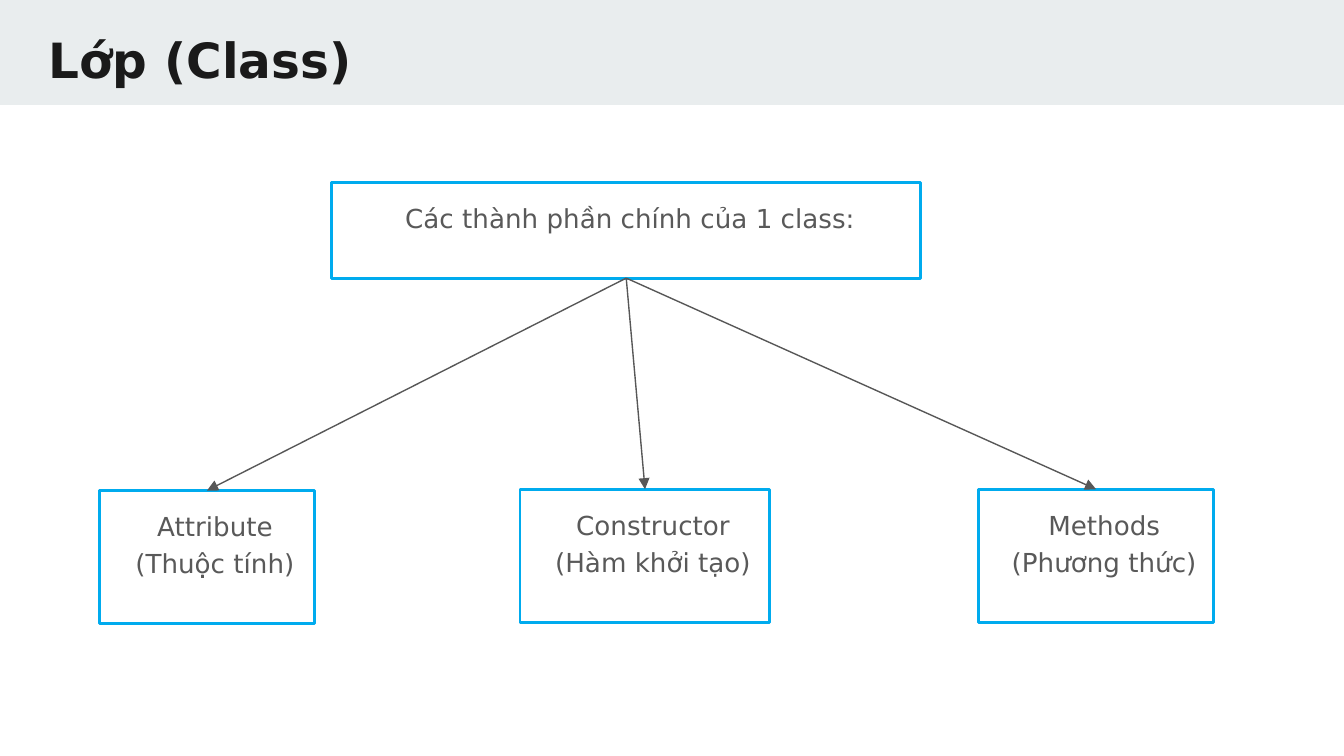
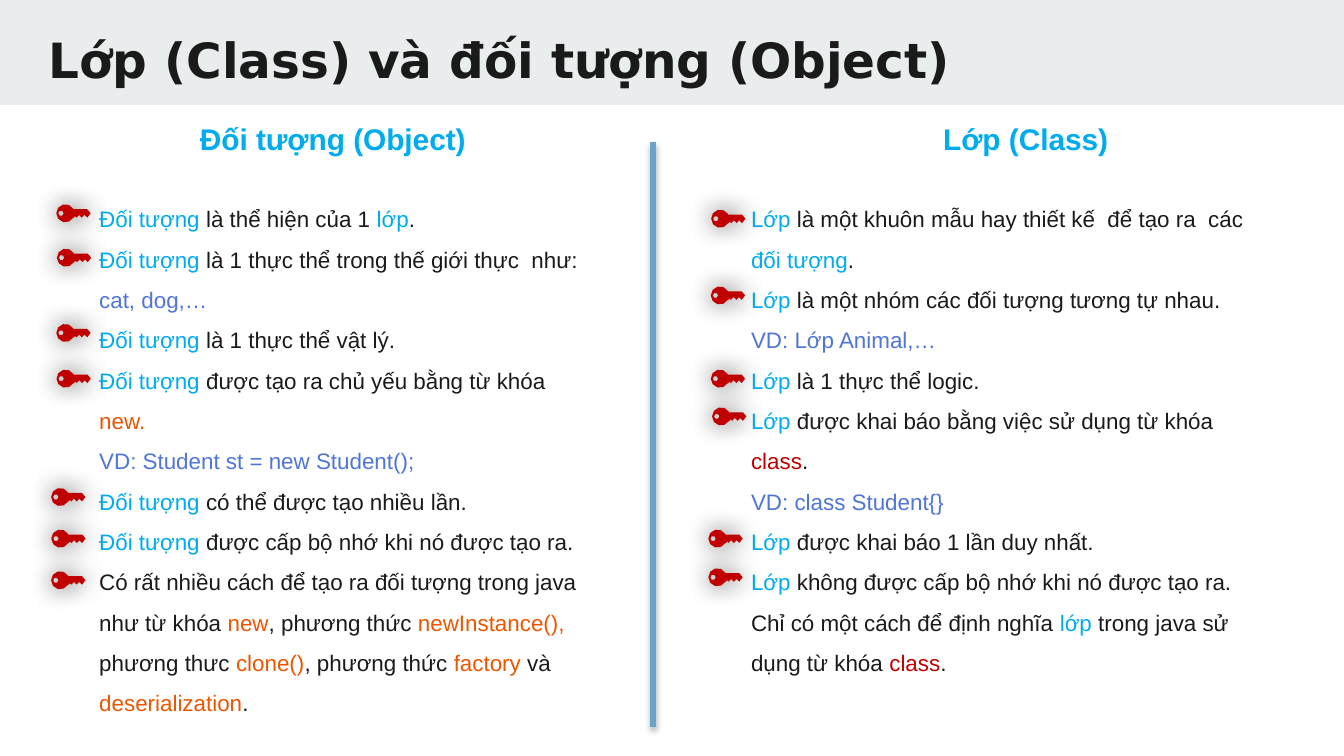
import math

import pptx
import pptx.dml.color
import pptx.enum.shapes
import pptx.enum.text
import pptx.oxml
import pptx.oxml.ns
import pptx.util

Pt = pptx.util.Pt
RGBColor = pptx.dml.color.RGBColor
SHAPE = pptx.enum.shapes.MSO_SHAPE
STRAIGHT = pptx.enum.shapes.MSO_CONNECTOR.STRAIGHT
ALIGN = pptx.enum.text.PP_ALIGN
qn = pptx.oxml.ns.qn

# Colours and fonts
BAND = RGBColor(0xE9, 0xED, 0xEE)
INK = RGBColor(0x1A, 0x1A, 0x1A)
GREY = RGBColor(0x59, 0x59, 0x59)
ARROW = RGBColor(0x57, 0x57, 0x57)
CYAN = RGBColor(0x00, 0xAB, 0xEE)
BLUE = RGBColor(0x4F, 0x75, 0xD6)
ORANGE = RGBColor(0xEB, 0x56, 0x00)
RED = RGBColor(0xC0, 0x00, 0x00)
DIVIDER = RGBColor(0x6A, 0xA4, 0xC8)
BLACK = RGBColor(0, 0, 0)
TITLE_FONT = "DejaVu Sans"
BODY_FONT = "Arial"

# Class diagram: text, (left, top, width, height)
DIAGRAM_TITLE = "Lớp (Class)"
ROOT = ("Các thành phần chính của 1 class: ", (177.8, 97.9, 315.4, 51.1))
PARTS = [
    ("Attribute (Thuộc tính)", (53.3, 262.8, 115.2, 71.3)),
    ("Constructor (Hàm khởi tạo)", (278.6, 262.1, 133.9, 71.3)),
    ("Methods (Phương thức)", (524.2, 262.1, 126, 71.3)),
]

# Comparison: a paragraph is a list of runs, plain text being in ink
COMPARISON_TITLE = "Lớp (Class) và đối tượng (Object)"
OBJECT = ("Đối tượng ", CYAN)
CLASS = ("Lớp ", CYAN)
COLUMNS = [
    {
        "heading": ("Đối tượng (Object)", (100, 61.2, 159.1, 28.8)),
        "left": 46.1,
        "keys": [(30.2, 109.4), (30.5, 133.2), (30.2, 173.5), (30.3, 198),
                 (27.4, 261.4), (27.5, 283.7), (27.4, 306)],
        "paragraphs": [
            [OBJECT, "là thể hiện của 1 ", ("lớp", CYAN), "."],
            [OBJECT, "là 1 thực thể trong thế giới thực  như: ", ("cat, dog,…", BLUE)],
            [OBJECT, "là 1 thực thể vật lý."],
            [OBJECT, "được tạo ra chủ yếu bằng từ khóa ", ("new.", ORANGE)],
            [("VD: Student st = new Student();", BLUE)],
            [OBJECT, "có thể được tạo nhiều lần."],
            [OBJECT, "được cấp bộ nhớ khi nó được tạo ra."],
            ["Có rất nhiều cách để tạo ra đối tượng trong java như từ khóa ",
             ("new", ORANGE), ", phương thức ", ("newInstance(), ", ORANGE),
             "phương thưc ", ("clone()", ORANGE), ", phương thức ",
             ("factory ", ORANGE), "và  ", ("deserialization", ORANGE), "."],
        ],
    },
    {
        "heading": ("Lớp (Class)", (498.2, 61.2, 105.1, 28.8)),
        "left": 395.3,
        "keys": [(381, 112.3), (380.8, 153.4), (380.8, 198), (381.5, 218.2),
                 (379.5, 283.7), (379.5, 304.4)],
        "paragraphs": [
            [CLASS, "là một khuôn mẫu hay thiết kế  để tạo ra  các ",
             ("đối tượng", CYAN), "."],
            [CLASS, "là một nhóm các đối tượng tương tự nhau."],
            [("VD: Lớp Animal,…", BLUE)],
            [CLASS, "là 1 thực thể logic."],
            [CLASS, "được khai báo bằng việc sử dụng từ khóa ", ("class", RED), "."],
            [("VD: class Student{}", BLUE)],
            [CLASS, "được khai báo 1 lần duy nhất."],
            [CLASS, "không được cấp bộ nhớ khi nó được tạo ra."],
            ["Chỉ có một cách để định nghĩa ", ("lớp ", CYAN),
             "trong java sử dụng từ khóa ", ("class", RED), "."],
        ],
    },
]

# Key icon, in units of KEY_UNIT hundredths of a point
KEY_UNIT = 72
KEY_TEETH = [(13, 10), (14, 9), (15, 10), (17, 8), (19, 10),
             (21, 8), (23, 10), (25.5, 6.75), (23, 3.75), (12.3, 3.75)]


def points(numbers):
    return [Pt(number) for number in numbers]


def write(frame, paragraphs, *, font, size, color=INK, bold=False, align=ALIGN.LEFT,
          spacing=1.0, gap=0, indent=0, inset=7.2):
    """Fill a text frame with paragraphs made of runs."""
    frame.word_wrap = True
    frame.auto_size = pptx.enum.text.MSO_AUTO_SIZE.NONE
    frame.vertical_anchor = pptx.enum.text.MSO_ANCHOR.TOP
    frame.margin_left = frame.margin_right = Pt(7.2)
    frame.margin_top = frame.margin_bottom = Pt(inset)
    for index, runs in enumerate(paragraphs):
        para = frame.add_paragraph() if index else frame.paragraphs[0]
        para.alignment = align
        para.line_spacing = spacing
        para.space_before = para.space_after = Pt(gap)
        if indent:
            properties = para._p.get_or_add_pPr()
            properties.set("marL", str(Pt(indent)))
            properties.set("indent", "0")
        for item in runs:
            text, run_color = (item, color) if isinstance(item, str) else item
            span = para.add_run()
            span.text = text
            span.font.name = font
            span.font.size = Pt(size)
            span.font.bold = bold
            span.font.color.rgb = run_color


def add_xml(parent, tag, **attributes):
    child = pptx.oxml.parse_xml(
        f'<a:{tag} xmlns:a="http://schemas.openxmlformats.org/drawingml/2006/main"/>')
    for name, value in attributes.items():
        child.set(name, str(value))
    parent.append(child)
    return child


def add_shadow(effects, color, *, opacity, blur, distance=0, angle=0):
    shadow = add_xml(effects, "outerShdw", blurRad=Pt(blur), dist=Pt(distance),
                     dir=angle * 60000, algn="ctr", rotWithShape=0)
    add_xml(add_xml(shadow, "srgbClr", val=color), "alpha", val=opacity * 1000)


def add_line(slide, ends, color, width):
    """Draw a connector and return it with its empty effect list."""
    line = slide.shapes.add_connector(STRAIGHT, *points(ends))
    line.line.color.rgb = color
    line.line.width = Pt(width)
    return line, add_xml(line.element.spPr, "effectLst")


def add_titled_slide(deck, title):
    slide = deck.slides.add_slide(deck.slide_layouts[5])
    box = slide.shapes.title
    box.left, box.top, box.width, box.height = points((18.7, 8.64, 685.4, 42.5))
    write(box.text_frame, [[title]], font=TITLE_FONT, size=26, bold=True)
    return slide


def add_band(slide):
    """Place the title band on the layout that every slide uses."""
    band = slide.shapes.add_shape(SHAPE.RECTANGLE, *points((0, 0, 720, 56.2)))
    band.shadow.inherit = False
    band.fill.solid()
    band.fill.fore_color.rgb = BAND
    band.line.fill.background()
    slide.slide_layout.shapes.element.insert(2, band.element)


def add_frame(slide, text, place):
    box = slide.shapes.add_shape(SHAPE.RECTANGLE, *points(place))
    box.shadow.inherit = False
    box.fill.background()
    box.line.color.rgb = CYAN
    box.line.width = Pt(1.5)
    add_xml(box.element.spPr.find(qn("a:ln")), "round")
    write(box.text_frame, [[text]], font=TITLE_FONT, size=14, color=GREY,
          align=ALIGN.CENTER, spacing=1.2, gap=6, indent=8.64)
    return box


def arc(center_x, radius, start, end, steps):
    """Points of an arc on the middle line of the key, angles in degrees."""
    angles = [math.radians(start + (end - start) * step / steps)
              for step in range(steps + 1)]
    return [(center_x + radius * math.cos(angle), 6.75 + radius * math.sin(angle))
            for angle in angles]


def add_key(slide, left, top):
    body = arc(6.75, 6.75, 330, 30, 8) + KEY_TEETH
    hole = arc(3.5, 2, 0, 300, 5)
    outlines = [[(x * KEY_UNIT, y * KEY_UNIT) for x, y in outline]
                for outline in (body, hole)]
    builder = slide.shapes.build_freeform(*outlines[0][0], scale=Pt(0.01))
    builder.add_line_segments(outlines[0][1:])
    builder.move_to(*outlines[1][0])
    builder.add_line_segments(outlines[1][1:])
    key = builder.convert_to_shape(Pt(left), Pt(top))
    key.fill.solid()
    key.fill.fore_color.rgb = RED
    key.line.fill.background()
    key.shadow.inherit = False
    add_shadow(key.element.spPr.find(qn("a:effectLst")), GREY, opacity=100, blur=13)


def build_diagram(deck):
    slide = add_titled_slide(deck, DIAGRAM_TITLE)
    add_band(slide)
    parts = [add_frame(slide, *part) for part in PARTS]
    root = add_frame(slide, *ROOT)
    for part in parts:
        arrow, _ = add_line(slide, (0, 0, 0, 0), ARROW, 0.75)
        arrow.begin_connect(root, 2)
        arrow.end_connect(part, 0)
        add_xml(arrow.element.spPr.find(qn("a:ln")), "tailEnd", type="triangle")


def build_comparison(deck):
    slide = add_titled_slide(deck, COMPARISON_TITLE)
    _, effects = add_line(slide, (349.9, 76.3, 349.9, 389.5), DIVIDER, 3)
    add_shadow(effects, BLACK, opacity=35, blur=3.1, distance=1.8, angle=90)
    for column in COLUMNS:
        text, place = column["heading"]
        heading = slide.shapes.add_textbox(*points(place))
        write(heading.text_frame, [[text]], font=BODY_FONT, size=16, color=CYAN,
              bold=True, inset=3.6)
        body = slide.shapes.add_textbox(*points((column["left"], 99.4, 278.6, 283)))
        write(body.text_frame, column["paragraphs"], font=BODY_FONT, size=12,
              spacing=1.5, inset=3.6)
        for left, top in column["keys"]:
            add_key(slide, left, top)


def main():
    deck = pptx.Presentation()
    deck.slide_width, deck.slide_height = Pt(720), Pt(405)
    build_diagram(deck)
    build_comparison(deck)
    deck.save("out.pptx")


if __name__ == "__main__":
    main()
